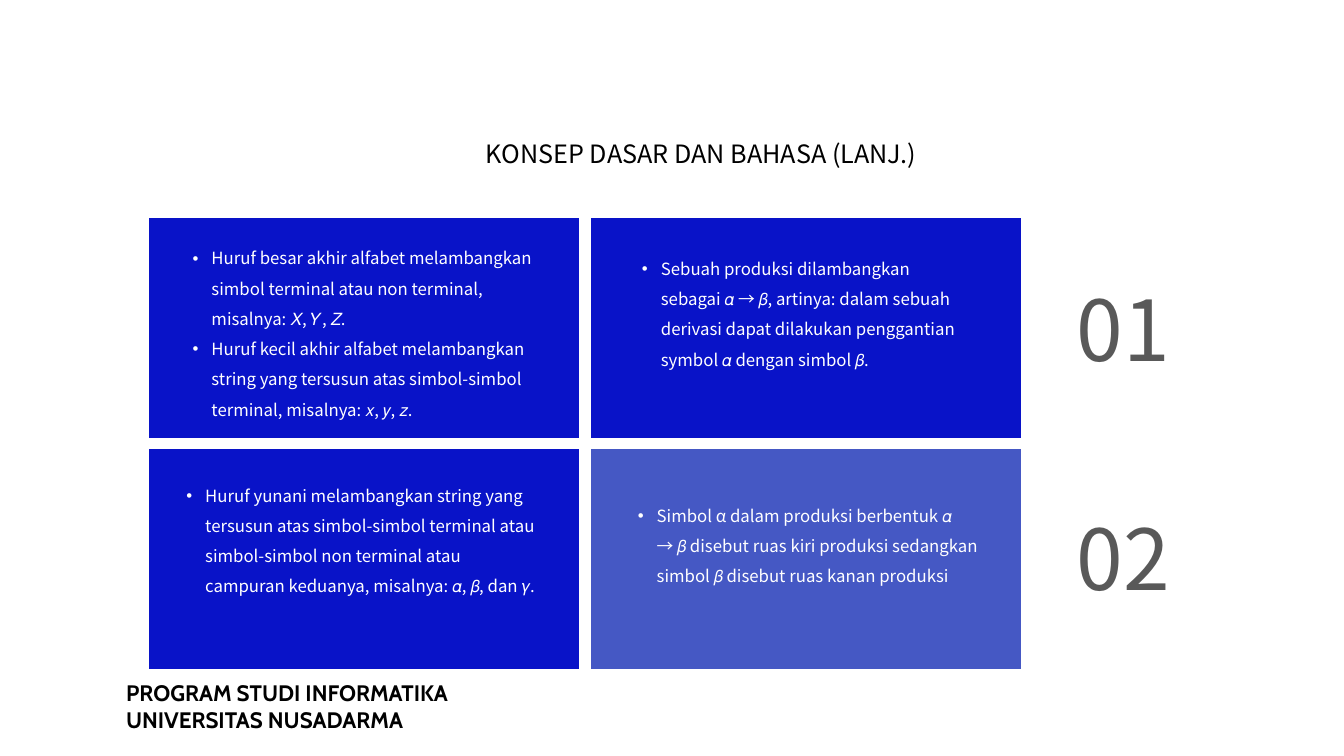
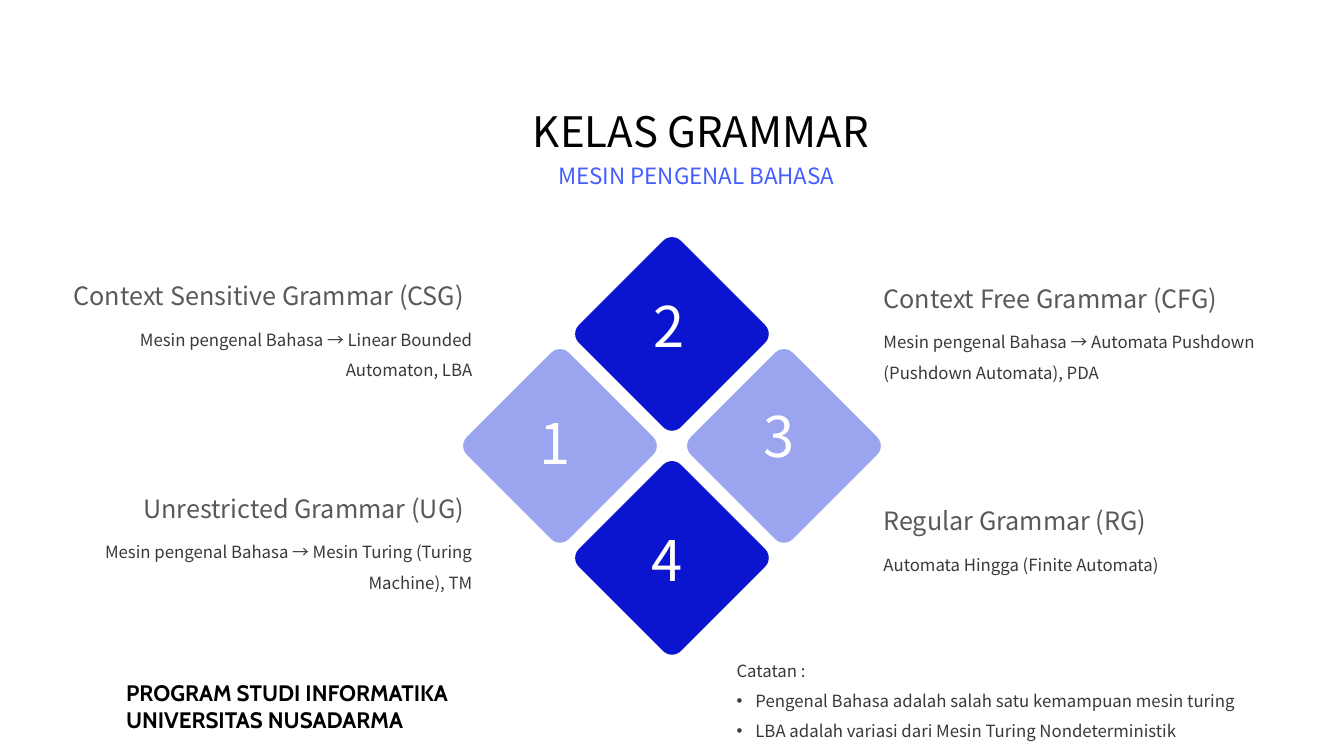
from dataclasses import dataclass
from lxml.etree import SubElement
from pptx import Presentation
from pptx.dml.color import RGBColor as Rgb
from pptx.enum.shapes import MSO_SHAPE as Shape
from pptx.enum.text import PP_ALIGN as Align
from pptx.oxml.ns import qn
from pptx.util import Pt


@dataclass(frozen=True)
class Theme:
    sans: str = "Noto Sans CJK SC"
    brand: str = "Cabin"
    black: str = "000000"
    white: str = "FFFFFF"
    grey: str = "595959"
    dark: str = "3B3838"
    navy: str = "0913C8"
    slate: str = "4558C4"
    royal: str = "0B15D0"
    pale: str = "9AA4EF"
    sky: str = "445EFD"
    small: int = 12
    mid: int = 16
    head: int = 18
    title: int = 30
    digit: int = 40
    huge: int = 60
    indent: float = 13.5


T = Theme()


def bullet(para):
    props = para._p.get_or_add_pPr()
    props.set("marL", str(Pt(T.indent)))
    props.set("indent", str(-Pt(T.indent)))
    SubElement(props, qn("a:buFont")).set("typeface", "Arial")
    SubElement(props, qn("a:buChar")).set("char", "•")


def text(slide, box, lines, size, color, align=Align.LEFT, space=None,
         face=T.sans, bold=False, dots=False):
    """Add a text box; dots puts a bullet on every line not ending in a colon."""
    frame = slide.shapes.add_textbox(*map(Pt, box)).text_frame
    frame.word_wrap = True
    for i, line in enumerate(lines):
        para = frame.add_paragraph() if i else frame.paragraphs[0]
        para.text = line
        para.alignment = align
        if space:
            para.line_spacing = space
        if dots and not line.endswith(":"):
            bullet(para)
        font = para.font
        font.name, font.size, font.bold = face, Pt(size), bold
        font.color.rgb = Rgb.from_string(color)


def body(slide, box, lines, color=T.dark, **style):
    text(slide, box, lines, T.small, color, space=1.5, **style)


def block(slide, kind, box, color):
    shape = slide.shapes.add_shape(kind, *map(Pt, box))
    shape.shadow.inherit = False
    shape.fill.solid()
    shape.fill.fore_color.rgb = Rgb.from_string(color)
    shape.line.fill.background()
    return shape


def gem(slide, x, y, color):
    """Add a rounded square, stood on its corner, centred on x, y."""
    side = 103
    shape = block(slide, Shape.ROUNDED_RECTANGLE,
                  (x - side / 2, y - side / 2, side, side), color)
    shape.adjustments[0] = 0.086
    shape.rotation = 315


def topic(slide, x, y, head, note, left=False):
    """Add a heading with its note; on the left side x is the right edge."""
    align = Align.RIGHT if left else Align.LEFT
    text(slide, (x - 312 if left else x, y, 312, 29), [head], T.head, T.grey, align)
    body(slide, (x - 278.5 if left else x, y + 28, 284.5, 48), [note], align=align)


def page(deck):
    slide = deck.slides.add_slide(deck.slide_layouts[6])
    text(slide, (83, 481.5, 472, 46),
         ["PROGRAM STUDI INFORMATIKA", "UNIVERSITAS NUSADARMA"],
         T.mid, T.black, face=T.brand, bold=True)
    return slide


def concepts(deck):
    slide = page(deck)
    text(slide, (340, 95, 336, 29), ["KONSEP DASAR DAN BAHASA (LANJ.)"],
         T.head, T.black)
    cards = [
        (T.navy, (130.5, 166.5, 274.5, 135), [
            "Huruf besar akhir alfabet melambangkan simbol terminal atau "
            "non terminal, misalnya: 𝑋, 𝑌, 𝑍.",
            "Huruf kecil akhir alfabet melambangkan string yang tersusun atas "
            "simbol-simbol terminal, misalnya: 𝑥, 𝑦, 𝑧."]),
        (T.navy, (451.5, 174, 260, 92), [
            "Sebuah produksi dilambangkan sebagai 𝛼 → 𝛽, artinya: dalam sebuah "
            "derivasi dapat dilakukan penggantian symbol 𝛼 dengan simbol 𝛽."]),
        (T.navy, (126, 336, 267, 92), [
            "Huruf yunani melambangkan string yang tersusun atas simbol-simbol "
            "terminal atau simbol-simbol non terminal atau campuran keduanya, "
            "misalnya: 𝛼, 𝛽, dan 𝛾."]),
        (T.slate, (448.5, 350.5, 260, 92), [
            "Simbol α dalam produksi berbentuk 𝛼 → 𝛽 disebut ruas kiri produksi "
            "sedangkan simbol 𝛽 disebut ruas kanan produksi"]),
    ]
    for i, (color, box, lines) in enumerate(cards):
        row, col = divmod(i, 2)
        block(slide, Shape.FLOWCHART_PROCESS,
              (106.5 + col * 315.5, 155.5 + row * 165, 307, 157), color)
        body(slide, box, lines, T.white, dots=True)
    for row, mark in enumerate(("01", "02")):
        text(slide, (762, 194.5 + row * 164, 112, 80), [mark], T.huge, T.grey)


def classes(deck):
    slide = page(deck)
    text(slide, (358.5, 72, 284.5, 43), ["KELAS GRAMMAR"],
         T.title, T.black, Align.CENTER)
    text(slide, (381, 112.5, 233, 27), ["MESIN PENGENAL BAHASA"],
         T.mid, T.sky, Align.CENTER)

    mid, step = (480, 318.5), 80.0
    gems = [
        ("1", -1, 0, T.pale, (378, 288)),
        ("2", 0, -1, T.royal, (459.5, 205)),
        ("3", 1, 0, T.pale, (538.5, 283.5)),
        ("4", 0, 1, T.royal, (458.5, 371.5)),
    ]
    for mark, dx, dy, color, spot in gems:
        gem(slide, mid[0] + dx * step, mid[1] + dy * step, color)
        text(slide, (*spot, 60, 55), [mark], T.digit, T.white)

    topic(slide, 338.5, 196.5, "Context Sensitive Grammar (CSG)",
          "Mesin pengenal Bahasa → Linear Bounded Automaton, LBA", left=True)
    topic(slide, 338.5, 348.5, "Unrestricted Grammar (UG)",
          "Mesin pengenal Bahasa → Mesin Turing (Turing Machine), TM", left=True)
    topic(slide, 624, 198.5, "Context Free Grammar (CFG)",
          "Mesin pengenal Bahasa → Automata Pushdown (Pushdown Automata), PDA")
    topic(slide, 624, 357.5, "Regular Grammar (RG)",
          "Automata Hingga (Finite Automata)")
    body(slide, (519, 461, 389.5, 70), [
        "Catatan :",
        "Pengenal Bahasa adalah salah satu kemampuan mesin turing",
        "LBA adalah variasi dari Mesin Turing Nondeterministik"], dots=True)


def main():
    deck = Presentation()
    deck.slide_width, deck.slide_height = Pt(960), Pt(540)
    concepts(deck)
    classes(deck)
    deck.save("out.pptx")


if __name__ == "__main__":
    main()
